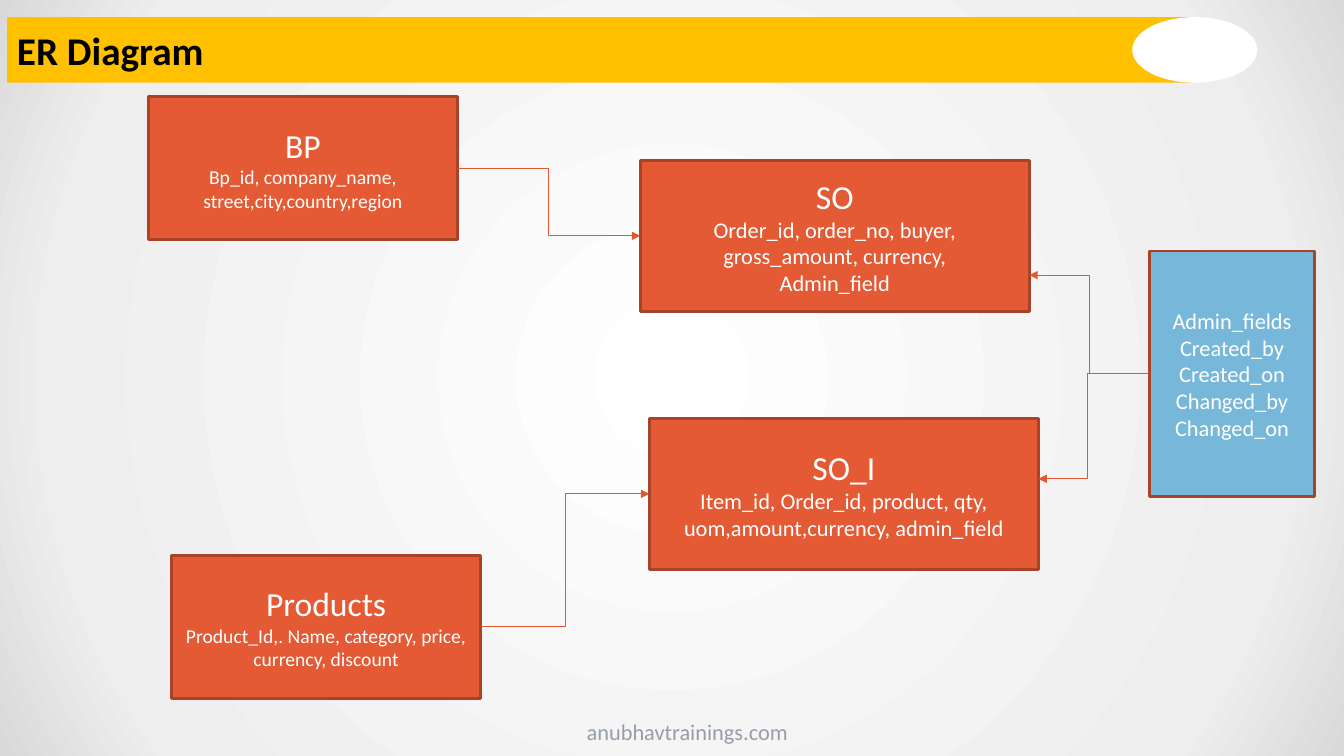
from collections import namedtuple

from pptx import Presentation
from pptx.dml.color import RGBColor
from pptx.enum.shapes import MSO_CONNECTOR, MSO_SHAPE
from pptx.enum.text import MSO_ANCHOR, MSO_AUTO_SIZE, PP_ALIGN
from pptx.oxml import parse_xml
from pptx.oxml.ns import nsdecls, qn
from pptx.util import Inches, Pt
from lxml import etree

RECTANGLE = MSO_SHAPE.RECTANGLE
OVAL = MSO_SHAPE.OVAL
ELBOW = MSO_CONNECTOR.ELBOW
MIDDLE = MSO_ANCHOR.MIDDLE
GROW = MSO_AUTO_SIZE.SHAPE_TO_FIT_TEXT
LEFT = PP_ALIGN.LEFT
CENTER = PP_ALIGN.CENTER

WHITE = RGBColor(0xFF, 0xFF, 0xFF)
BLACK = RGBColor(0, 0, 0)
YELLOW = RGBColor(0xFF, 0xC0, 0x00)
ORANGE = RGBColor(0xE3, 0x5A, 0x35)
BLUE = RGBColor(0x77, 0xB7, 0xD9)
BORDER = RGBColor(0xA8, 0x43, 0x27)
ARROW = RGBColor(0xE2, 0x56, 0x30)
GREY = RGBColor(0x96, 0x9E, 0xA9)
BACKDROP = ((0, WHITE), (81, RGBColor(0xEE, 0xEE, 0xEE)),
            (100, RGBColor(0xD9, 0xD9, 0xD9)))
FONT = "Calibri"

Box = namedtuple("Box", "left top width height")

HEADER = Box(0.07, 0.17, 12.4, 0.65)
FOOTER = Box(5.72, 7.08, 3.31, 0.37)
BP = Box(1.47, 0.96, 3.07, 1.42)
PRODUCTS = Box(1.7, 5.51, 3.07, 1.42)
ORDER = Box(6.35, 1.59, 3.86, 1.5)
ITEM = Box(6.44, 4.15, 3.86, 1.5)
ADMIN = Box(11.4, 2.49, 1.64, 2.44)

# box, fill, heading, field lines, field size
ENTITIES = (
    (PRODUCTS, ORANGE, "Products",
     ["Product_Id,. Name, category, price, currency, discount"], 14),
    (BP, ORANGE, "BP",
     ["Bp_id, company_name, street,city,country,region"], 14),
    (ORDER, ORANGE, "SO",
     ["Order_id, order_no, buyer, gross_amount, currency,", "Admin_field"], 16),
    (ITEM, ORANGE, "SO_I",
     ["Item_id, Order_id, product, qty, uom,amount,currency, admin_field"], 16),
    (ADMIN, BLUE, None,
     ["Admin_fields", "Created_by", "Created_on", "Changed_by", "Changed_on"], 16),
)


def left_side(box, share=0.5):
    """Point on the left edge, a share of the height down."""
    return box.left, box.top + share * box.height


def right_side(box, share=0.5):
    """Point on the right edge, a share of the height down."""
    return box.left + box.width, box.top + share * box.height


# start, end, place of the bend along the way
RELATIONS = (
    (left_side(ADMIN), right_side(ORDER, 0.76), 0.5),
    (left_side(ADMIN), right_side(ITEM, 0.4), 0.56),
    (right_side(PRODUCTS), left_side(ITEM), 0.5),
    (right_side(BP), left_side(ORDER), 0.5),
)


def paint_background(slide):
    """Radial gradient from the centre of the slide outwards."""
    slide.background.fill.solid()
    solid = slide.background._cSld.find(".//" + qn("a:solidFill"))
    stops = "".join(
        f'<a:gs pos="{place * 1000}"><a:srgbClr val="{color}"/></a:gs>'
        for place, color in BACKDROP)
    gradient = parse_xml(
        f'<a:gradFill {nsdecls("a")} rotWithShape="1"><a:gsLst>{stops}</a:gsLst>'
        '<a:path path="circle"><a:fillToRect l="50000" t="50000" r="50000" '
        'b="50000"/></a:path></a:gradFill>')
    solid.getparent().replace(solid, gradient)


def add_panel(slide, kind, box, fill, border=None):
    panel = slide.shapes.add_shape(kind, *map(Inches, box))
    panel.shadow.inherit = False
    panel.fill.solid()
    panel.fill.fore_color.rgb = fill
    if border is None:
        panel.line.fill.background()
    else:
        panel.line.color.rgb = border
        panel.line.width = Pt(2)
    return panel


def style(paragraph, size, color, align=CENTER, bold=False):
    paragraph.alignment = align
    for run in paragraph.runs:
        run.font.name = FONT
        run.font.size = Pt(size)
        run.font.bold = bold
        run.font.color.rgb = color


def add_header(slide, box):
    oval_width = 1.24
    band = add_panel(slide, RECTANGLE, box._replace(width=box.width - 0.66), YELLOW)
    band.text_frame.text = "ER Diagram"
    band.text_frame.vertical_anchor = MIDDLE
    style(band.text_frame.paragraphs[0], 28, BLACK, LEFT, bold=True)
    oval_left = box.left + box.width - oval_width
    add_panel(slide, OVAL, box._replace(left=oval_left, width=oval_width), WHITE)


def add_footer(slide, box):
    frame = slide.shapes.add_textbox(*map(Inches, box)).text_frame
    frame.word_wrap = True
    frame.auto_size = GROW
    frame.text = "anubhavtrainings.com"
    style(frame.paragraphs[0], 16, GREY, LEFT)


def add_entity(slide, box, fill, heading, fields, field_size):
    frame = add_panel(slide, RECTANGLE, box, fill, BORDER).text_frame
    frame.word_wrap = True
    frame.vertical_anchor = MIDDLE
    lines = [heading] + fields if heading else fields
    frame.text = "\n".join(lines)
    for line, paragraph in zip(lines, frame.paragraphs):
        style(paragraph, 24 if line == heading else field_size, WHITE)


def add_relation(slide, start, end, bend):
    arrow = slide.shapes.add_connector(ELBOW, *map(Inches, start + end))
    arrow.line.color.rgb = ARROW
    arrow.line.width = Pt(0.75)
    properties = arrow._element.spPr
    etree.SubElement(arrow.line._get_or_add_ln(), qn("a:tailEnd"), type="triangle")
    etree.SubElement(properties, qn("a:effectLst"))
    adjustments = properties.find(".//" + qn("a:avLst"))
    etree.SubElement(adjustments, qn("a:gd"), name="adj1",
                     fmla=f"val {round(bend * 100000)}")


def main():
    deck = Presentation()
    deck.slide_width = Inches(13.33)
    deck.slide_height = Inches(7.5)
    slide = deck.slides.add_slide(deck.slide_layouts[6])
    paint_background(slide)
    add_header(slide, HEADER)
    add_footer(slide, FOOTER)
    for entity in ENTITIES:
        add_entity(slide, *entity)
    for relation in RELATIONS:
        add_relation(slide, *relation)
    deck.save("out.pptx")


if __name__ == "__main__":
    main()
